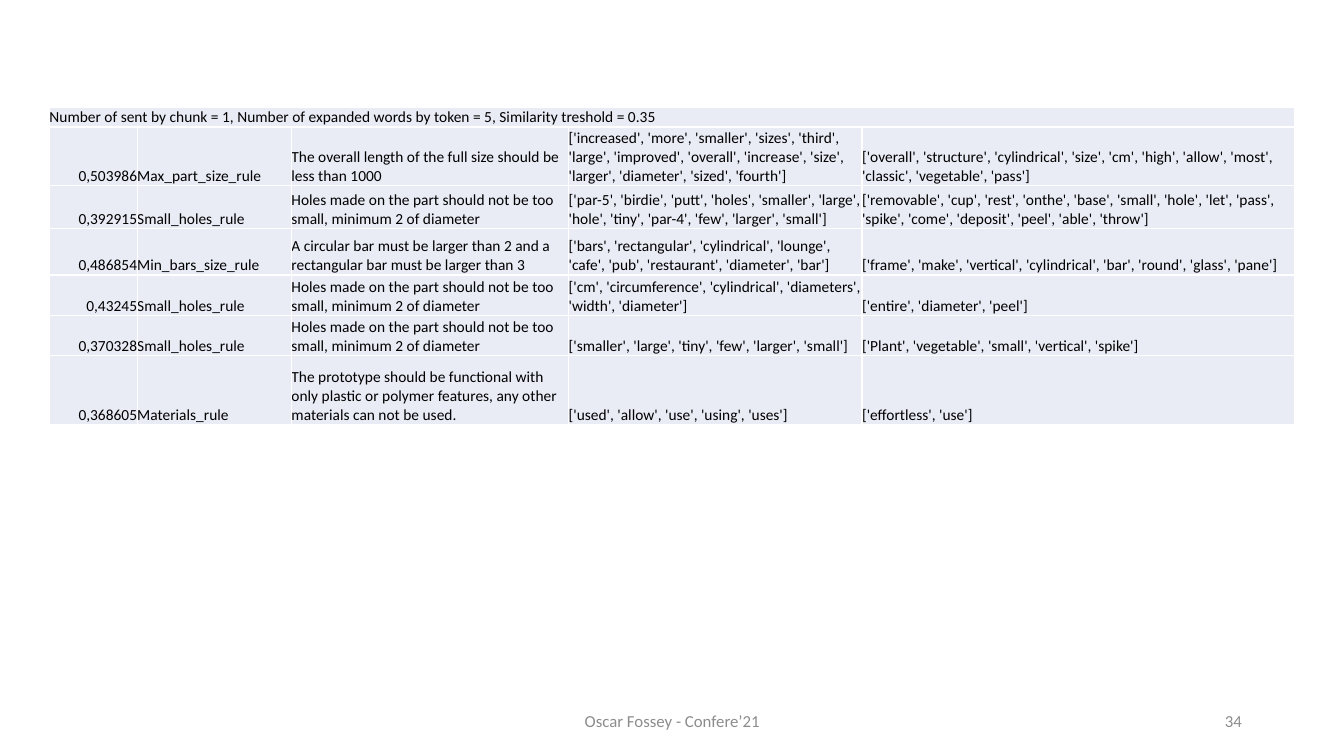
"""Build the slide of rules matched to chunks of text."""
from dataclasses import dataclass

from lxml import etree
from pptx import Presentation
from pptx.dml.color import RGBColor
from pptx.enum.text import MSO_ANCHOR, PP_ALIGN
from pptx.oxml.ns import qn
from pptx.util import Emu, Inches, Pt

LEFT, MID, RIGHT = PP_ALIGN.LEFT, PP_ALIGN.CENTER, PP_ALIGN.RIGHT
BASE, HALF = MSO_ANCHOR.BOTTOM, MSO_ANCHOR.MIDDLE
WIDE, HIGH = Inches(13.33), Inches(7.5)


@dataclass(frozen=True)
class Theme:
    """Colours, font and type sizes of the slide."""
    face: str = "Calibri"
    ink: str = "000000"
    grey: str = "8C8C8C"
    fill: str = "E9EBF5"
    line: str = "FFFFFF"
    body: int = 11
    foot: int = 12


@dataclass(frozen=True)
class Rule:
    """One matched rule, a row of the table."""
    score: str
    name: str
    text: str
    asked: str
    found: str


@dataclass(frozen=True)
class Note:
    """One footer text, with its left edge and width in percent."""
    text: str
    left: float
    width: float
    align: PP_ALIGN


THEME = Theme()
HEAD = ("Number of sent by chunk = 1, Number of expanded words by token = 5, "
        "Similarity treshold = 0.35")
HOLES = "Holes made on the part should not be too small, minimum 2 of diameter"
RULES = [
    Rule("0,503986", "Max_part_size_rule",
         "The overall length of the full size should be less than 1000",
         "['increased', 'more', 'smaller', 'sizes', 'third', 'large', 'improved', 'overall', "
         "'increase', 'size', 'larger', 'diameter', 'sized', 'fourth']",
         "['overall', 'structure', 'cylindrical', 'size', 'cm', 'high', 'allow', 'most', "
         "'classic', 'vegetable', 'pass']"),
    Rule("0,392915", "Small_holes_rule", HOLES,
         "['par-5', 'birdie', 'putt', 'holes', 'smaller', 'large', 'hole', 'tiny', 'par-4', "
         "'few', 'larger', 'small']",
         "['removable', 'cup', 'rest', 'onthe', 'base', 'small', 'hole', 'let', 'pass', "
         "'spike', 'come', 'deposit', 'peel', 'able', 'throw']"),
    Rule("0,486854", "Min_bars_size_rule",
         "A circular bar must be larger than 2 and a rectangular bar must be larger than 3",
         "['bars', 'rectangular', 'cylindrical', 'lounge', 'cafe', 'pub', 'restaurant', "
         "'diameter', 'bar']",
         "['frame', 'make', 'vertical', 'cylindrical', 'bar', 'round', 'glass', 'pane']"),
    Rule("0,43245", "Small_holes_rule", HOLES,
         "['cm', 'circumference', 'cylindrical', 'diameters', 'width', 'diameter']",
         "['entire', 'diameter', 'peel']"),
    Rule("0,370328", "Small_holes_rule", HOLES,
         "['smaller', 'large', 'tiny', 'few', 'larger', 'small']",
         "['Plant', 'vegetable', 'small', 'vertical', 'spike']"),
    Rule("0,368605", "Materials_rule",
         "The prototype should be functional with only plastic or polymer features, "
         "any other materials can not be used.",
         "['used', 'allow', 'use', 'using', 'uses']", "['effortless', 'use']"),
]
NOTES = [Note("Oscar Fossey - Confere’21", 33.15, 33.75, MID),
         Note("34", 70.65, 22.5, RIGHT)]
COLS = [6.53, 11.48, 20.63, 21.83, 32.18]
ROWS = [2.53, 7.73, 5.73, 6.13, 5.33, 5.33, 9.2]


def across(share: float) -> Emu:
    """Turn a percent of the slide width into a length."""
    return Emu(round(WIDE * share / 100))


def down(share: float) -> Emu:
    """Turn a percent of the slide height into a length."""
    return Emu(round(HIGH * share / 100))


def apply(item, form: dict) -> None:
    """Set each attribute named in a dict of format values."""
    for key, value in form.items():
        setattr(item, key, value)


def write(frame, text: str, size: int, tint: str, align: PP_ALIGN) -> None:
    """Write one formatted paragraph in a text frame."""
    line = frame.paragraphs[0]
    line.text, line.alignment = text, align
    font = line.runs[0].font
    apply(font, {"name": THEME.face, "size": Pt(size), "bold": False})
    font.color.rgb = RGBColor.from_string(tint)


def edge(cell) -> None:
    """Draw a thin line on all four sides of a cell."""
    props = cell._tc.get_or_add_tcPr()
    for spot, side in enumerate(("a:lnL", "a:lnR", "a:lnT", "a:lnB")):
        line = etree.Element(qn(side), w=str(Pt(1)))
        fill = etree.SubElement(line, qn("a:solidFill"))
        etree.SubElement(fill, qn("a:srgbClr"), val=THEME.line)
        props.insert(spot, line)


def dress(cell, text: str, align: PP_ALIGN) -> None:
    """Fill, edge and write one cell."""
    apply(cell, {"margin_left": 0, "margin_right": 0, "margin_top": 0,
                 "margin_bottom": 0, "vertical_anchor": BASE})
    cell.fill.solid()
    cell.fill.fore_color.rgb = RGBColor.from_string(THEME.fill)
    edge(cell)
    if text:
        write(cell.text_frame, text, THEME.body, THEME.ink, align)


def add_rules(slide) -> None:
    """Add the table of rules under its merged heading row."""
    grid = slide.shapes.add_table(len(ROWS), len(COLS), across(3.68), down(14.27),
                                  across(sum(COLS)), down(sum(ROWS))).table
    apply(grid, {"first_row": False, "horz_banding": False})
    for col, share in zip(grid.columns, COLS):
        col.width = across(share)
    for row, share in zip(grid.rows, ROWS):
        row.height = down(share)
    grid.cell(0, 0).merge(grid.cell(0, len(COLS) - 1))
    for cell, text in zip(grid.rows[0].cells, [HEAD] + [""] * (len(COLS) - 1)):
        dress(cell, text, LEFT)
    for y, rule in enumerate(RULES, 1):
        texts = (rule.score, rule.name, rule.text, rule.asked, rule.found)
        for x, text in enumerate(texts):
            dress(grid.cell(y, x), text, LEFT if x else RIGHT)


def add_note(slide, note: Note) -> None:
    """Add one footer text."""
    box = slide.shapes.add_textbox(across(note.left), down(92.67),
                                   across(note.width), down(5.33))
    apply(box.text_frame, {"word_wrap": True, "vertical_anchor": HALF})
    write(box.text_frame, note.text, THEME.foot, THEME.grey, note.align)


def main() -> None:
    """Build and save the deck."""
    deck = Presentation()
    apply(deck, {"slide_width": WIDE, "slide_height": HIGH})
    slide = deck.slides.add_slide(deck.slide_layouts[6])
    for note in NOTES:
        add_note(slide, note)
    add_rules(slide)
    deck.save("out.pptx")


if __name__ == "__main__":
    main()
